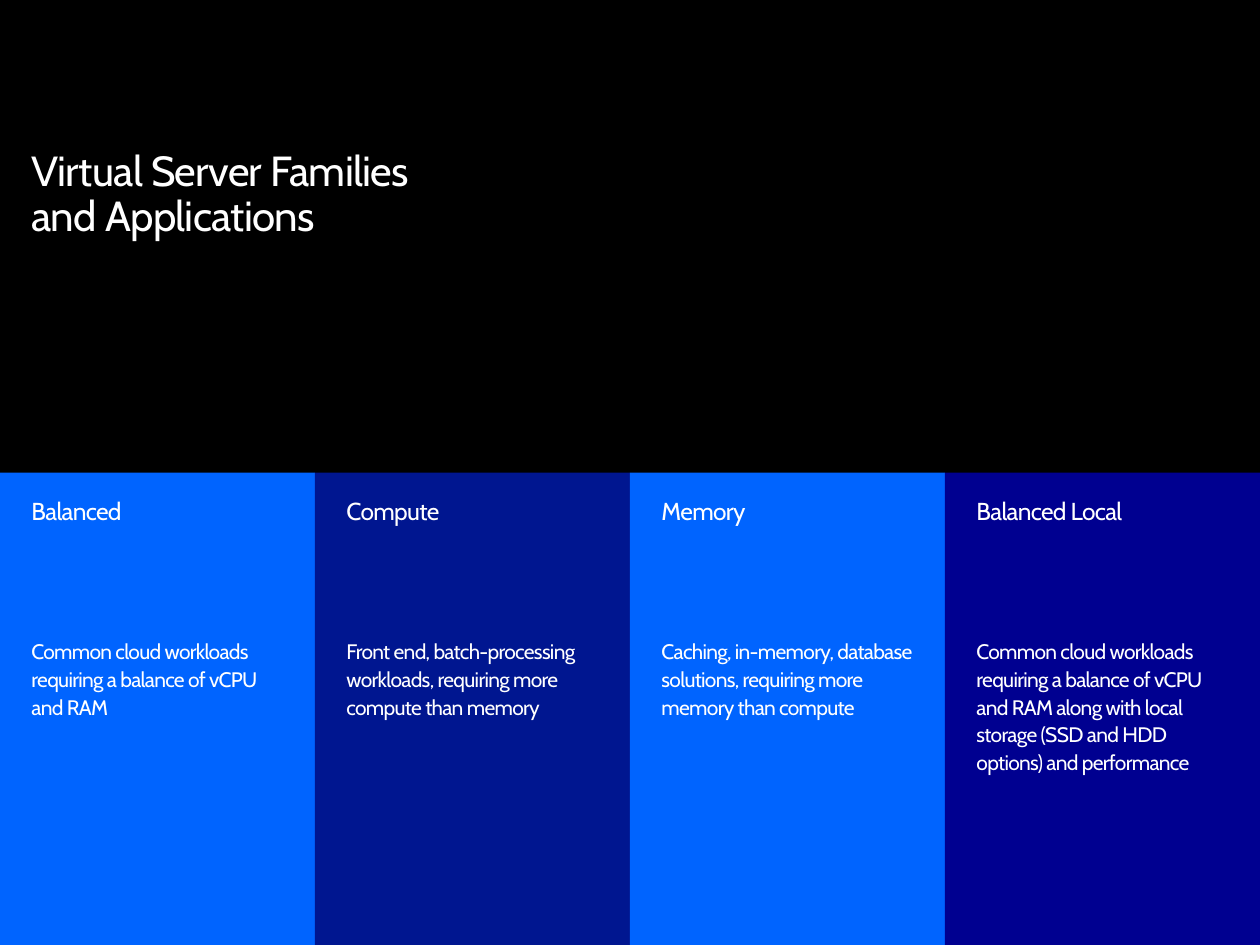
import pptx
import pptx.dml.color
import pptx.enum.shapes
import pptx.enum.text
import pptx.util

Inches = pptx.util.Inches
Pt = pptx.util.Pt

FAMILIES = [
    ("Balanced", "0064FF",
     "Common cloud workloads requiring a balance of vCPU and RAM"),
    ("Compute", "001690",
     "Front end, batch-processing workloads, requiring more compute than memory"),
    ("Memory", "0064FF",
     "Caching, in-memory, database solutions, requiring more memory than compute"),
    ("Balanced Local", "000090",
     "Common cloud workloads requiring a balance of vCPU and RAM along with "
     "local storage (SSD and HDD options) and performance"),
]


def set_attrs(obj, values):
    """Set each named attribute of an object."""
    for name, value in values.items():
        setattr(obj, name, value)


def set_fill(fill, color):
    """Give a fill one solid colour from a hex string."""
    fill.solid()
    fill.fore_color.rgb = pptx.dml.color.RGBColor.from_string(color)


def set_frame(tf, left=0, top=0, right=0, bottom=0):
    """Wrap a text frame from the top with margins in inches."""
    set_attrs(tf, {
        "word_wrap": True,
        "vertical_anchor": pptx.enum.text.MSO_ANCHOR.TOP,
        "margin_left": Inches(left), "margin_top": Inches(top),
        "margin_right": Inches(right), "margin_bottom": Inches(bottom),
    })


def write_paragraph(p, text, size, line_spacing, space_before=0):
    """Write white, slightly tightened text into a paragraph."""
    p.text = text
    set_attrs(p, {
        "alignment": pptx.enum.text.PP_ALIGN.LEFT,
        "line_spacing": line_spacing,
        "space_before": Pt(space_before),
    })
    for r in p.runs:
        set_attrs(r.font, {"name": "Cabin", "size": Pt(size)})
        set_fill(r.font.fill, "FFFFFF")
        r._r.get_or_add_rPr().set("spc", "-40")


def add_title(slide, text):
    """Add the slide title."""
    box = slide.shapes.add_textbox(
        Inches(0.25), Inches(1.19), Inches(4.5), Inches(0.39))
    set_frame(box.text_frame)
    write_paragraph(box.text_frame.paragraphs[0], text, 24, 0.9)


def add_panel(slide, left, width, heading, color, body):
    """Add a coloured panel with a heading and a description."""
    sp = slide.shapes.add_shape(
        pptx.enum.shapes.MSO_SHAPE.RECTANGLE,
        Inches(left), Inches(3.75), Inches(width), Inches(3.75))
    sp.shadow.inherit = False
    set_fill(sp.fill, color)
    sp.line.fill.background()
    tf = sp.text_frame
    set_frame(tf, 0.25, 0.21, 0.25, 0.25)
    write_paragraph(tf.paragraphs[0], heading, 14, 0.9)
    write_paragraph(tf.add_paragraph(), body, 12, 1.1, space_before=63.4)


def main():
    """Build and save the slide."""
    prs = pptx.Presentation()
    set_attrs(prs, {"slide_width": Inches(10), "slide_height": Inches(7.5)})
    slide = prs.slides.add_slide(prs.slide_layouts[6])
    set_fill(slide.background.fill, "000000")
    width = 10 / len(FAMILIES)
    for i, (heading, color, body) in enumerate(FAMILIES):
        add_panel(slide, i * width, width, heading, color, body)
    add_title(slide, "Virtual Server Families\vand Applications")
    prs.save("out.pptx")


if __name__ == "__main__":
    main()
